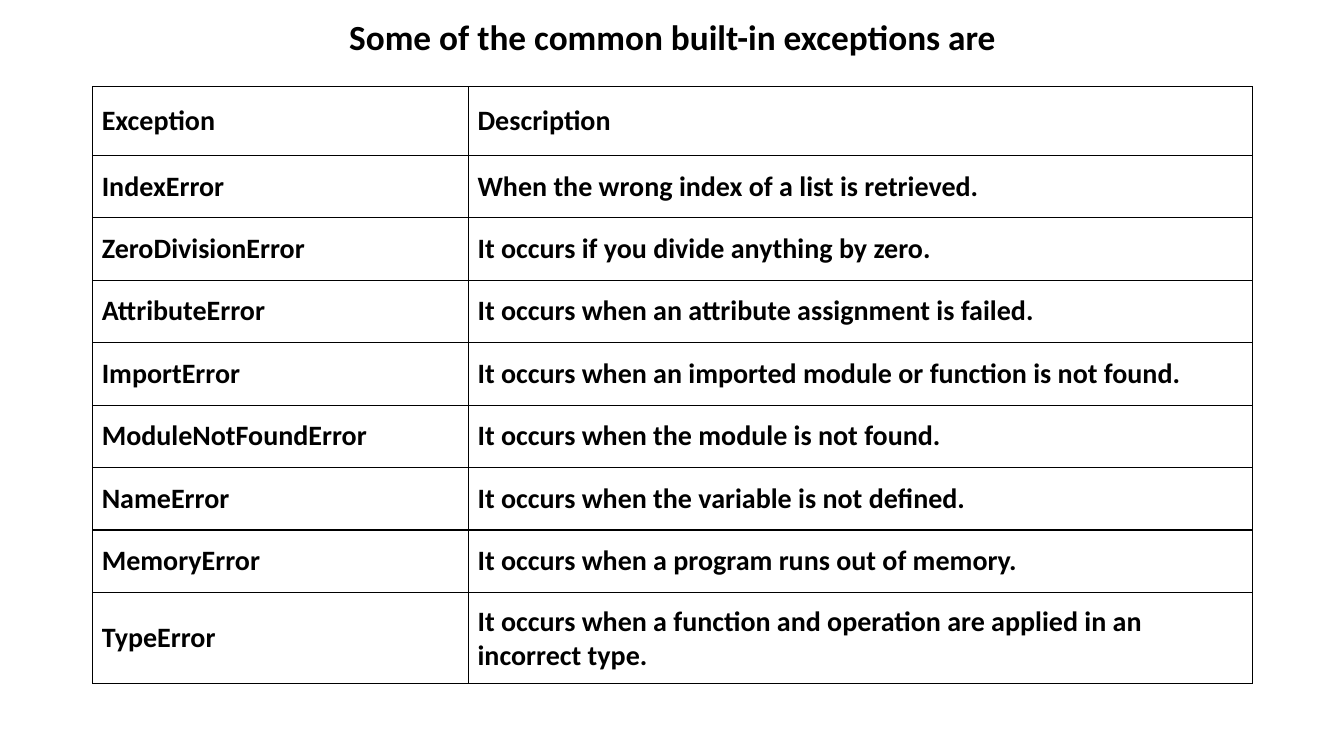
from dataclasses import dataclass
from lxml import etree
from pptx import Presentation
from pptx import util as u
from pptx.dml.color import RGBColor
from pptx.enum import text
from pptx.oxml.ns import qn


@dataclass(frozen=True)
class Theme:
    font: str = "Calibri"
    ink: str = "000000"
    title_size: float = 25.2
    cell_size: float = 20
    border: float = 1


THEME = Theme()
WIDTH, HEIGHT = u.Inches(13.33), u.Inches(7.5)
LEFT, SPAN = 0.069, 0.863
TITLE_TOP, TITLE_HEIGHT = 0.0373, 0.0293
TABLE_TOP = 0.1147
COLUMN_SHARES = (0.324, 0.676)
HEADER_HEIGHT, ROW_HEIGHT = u.Inches(0.68), u.Inches(0.62)
SIDE_INSET, HEADER_INSET, ROW_INSET = u.Inches(0.09), u.Inches(0.09), u.Inches(0.12)

ROWS = [
    ("Exception", "Description"),
    ("IndexError", "When the wrong index of a list is retrieved."),
    ("ZeroDivisionError", "It occurs if you divide anything by zero."),
    ("AttributeError", "It occurs when an attribute assignment is failed."),
    ("ImportError", "It occurs when an imported module or function is not found."),
    ("ModuleNotFoundError", "It occurs when the module is not found."),
    ("NameError", "It occurs when the variable is not defined."),
    ("MemoryError", "It occurs when a program runs out of memory."),
    ("TypeError", "It occurs when a function and operation are applied in an incorrect type."),
]


def assign(target, values):
    for name, value in values.items():
        setattr(target, name, value)


def write(frame, wording, size, **para_format):
    para = frame.paragraphs[0]
    assign(para, para_format)
    span = para.add_run()
    span.text = wording
    assign(span.font, {"name": THEME.font, "size": u.Pt(size), "bold": True})
    span.font.color.rgb = RGBColor.from_string(THEME.ink)


def add_title(page, wording):
    box = page.shapes.add_textbox(
        int(WIDTH * LEFT), int(HEIGHT * TITLE_TOP), int(WIDTH * SPAN), int(HEIGHT * TITLE_HEIGHT)
    )
    assign(box.text_frame, {
        "word_wrap": True,
        "vertical_anchor": text.MSO_ANCHOR.MIDDLE,
        "margin_top": 0,
        "margin_bottom": 0,
    })
    write(box.text_frame, wording, THEME.title_size,
          alignment=text.PP_ALIGN.CENTER, line_spacing=0.9)


def add_borders(cell):
    properties = cell._tc.get_or_add_tcPr()
    for index, side in enumerate(("lnL", "lnR", "lnT", "lnB")):
        line = etree.Element(qn(f"a:{side}"), w=str(u.Pt(THEME.border)))
        fill = etree.SubElement(line, qn("a:solidFill"))
        etree.SubElement(fill, qn("a:srgbClr"), val=THEME.ink)
        properties.insert(index, line)


def fill_cell(cell, wording, inset):
    assign(cell, {
        "vertical_anchor": text.MSO_ANCHOR.MIDDLE,
        "margin_left": SIDE_INSET,
        "margin_right": SIDE_INSET,
        "margin_top": inset,
        "margin_bottom": inset,
    })
    cell.fill.background()
    write(cell.text_frame, wording, THEME.cell_size)
    add_borders(cell)


def add_exception_table(page, rows):
    width = int(WIDTH * SPAN)
    heights = [HEADER_HEIGHT] + [ROW_HEIGHT] * (len(rows) - 1)
    table = page.shapes.add_table(
        len(rows), len(COLUMN_SHARES), int(WIDTH * LEFT), int(HEIGHT * TABLE_TOP), width, sum(heights)
    ).table
    assign(table, {"first_row": False, "horz_banding": False})
    for column, share in zip(table.columns, COLUMN_SHARES):
        column.width = int(width * share)
    for index, (row, height, wordings) in enumerate(zip(table.rows, heights, rows)):
        row.height = height
        for cell, wording in zip(row.cells, wordings):
            fill_cell(cell, wording, ROW_INSET if index else HEADER_INSET)


def main():
    deck = Presentation()
    assign(deck, {"slide_width": WIDTH, "slide_height": HEIGHT})
    page = deck.slides.add_slide(deck.slide_layouts[6])
    add_title(page, "Some of the common built-in exceptions are")
    add_exception_table(page, ROWS)
    deck.save("out.pptx")


main()
